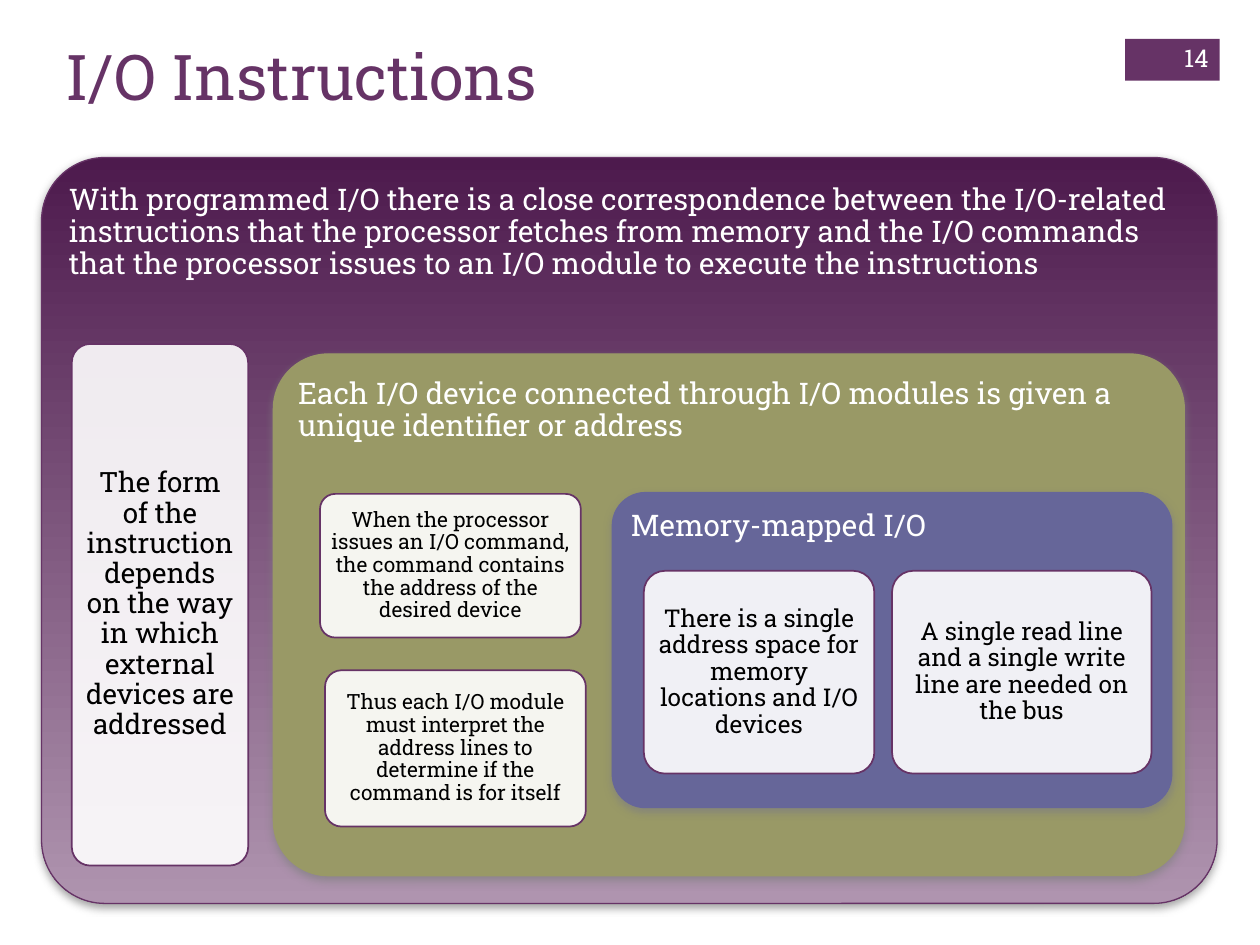
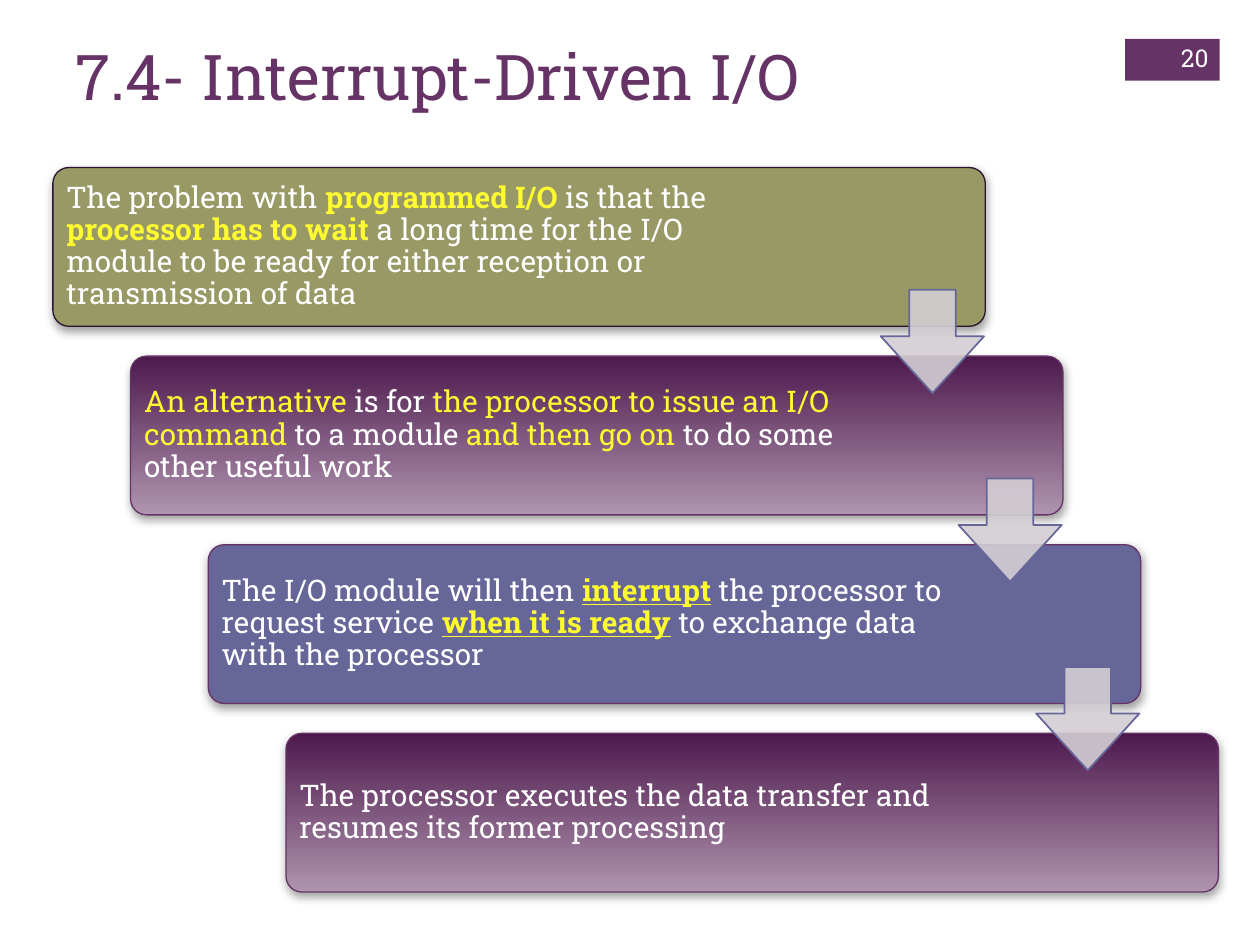
from dataclasses import dataclass

from lxml.etree import SubElement
from pptx import Presentation
from pptx.dml.color import RGBColor
from pptx.enum.shapes import MSO_SHAPE
from pptx.enum.text import MSO_ANCHOR, PP_ALIGN
from pptx.oxml.ns import qn
from pptx.util import Inches, Pt


@dataclass(frozen=True)
class Theme:
    font: str = "Roboto Slab"
    purple: str = "663366"
    olive: str = "999966"
    blue: str = "666699"
    dark: str = "2B142D"
    arrow: str = "D3CED3"
    shadow: str = "808080"
    white: str = "FFFFFF"
    black: str = "000000"
    yellow: str = "FEFB31"
    gradient: tuple = ("4D1A4D", "AF94AF")
    title_size: int = 36
    body_size: int = 17
    number_size: int = 14


theme = Theme()


def add_box(slide, kind, bounds, fill, line, adjustments=(), line_width=0.75,
            opacity=100, shadow=False):
    """Add a preset shape; a tuple as fill runs from top to bottom."""
    shape = slide.shapes.add_shape(kind, *map(Inches, bounds))
    for index, value in enumerate(adjustments):
        shape.adjustments[index] = value
    properties = shape._element.spPr
    if isinstance(fill, tuple):
        shape.fill.gradient()
        shape.fill.gradient_angle = 270
        for stop, color in zip(shape.fill.gradient_stops, fill):
            stop.color.rgb = RGBColor.from_string(color)
    else:
        shape.fill.solid()
        shape.fill.fore_color.rgb = RGBColor.from_string(fill)
        if opacity < 100:
            color_element = properties.find(qn("a:solidFill"))[0]
            SubElement(color_element, qn("a:alpha"), val=str(opacity * 1000))
    if line:
        shape.line.color.rgb = RGBColor.from_string(line)
        shape.line.width = Pt(line_width)
    else:
        shape.line.fill.background()
    shape.shadow.inherit = False
    if shadow:
        outer = SubElement(properties.find(qn("a:effectLst")), qn("a:outerShdw"),
                           blurRad=str(Pt(5)), dist=str(Pt(2)), dir="5400000",
                           algn="ctr", rotWithShape="0")
        color_element = SubElement(outer, qn("a:srgbClr"), val=theme.shadow)
        SubElement(color_element, qn("a:alpha"), val="75000")
    return shape


def write_text(shape, runs, size, align=PP_ALIGN.LEFT, anchor=MSO_ANCHOR.TOP,
               margins=None, line_spacing=None):
    """Write runs of (text, color, emphasis); emphasis holds b and u letters."""
    frame = shape.text_frame
    frame.word_wrap = True
    frame.vertical_anchor = anchor
    if margins:
        (frame.margin_left, frame.margin_top,
         frame.margin_right, frame.margin_bottom) = map(Inches, margins)
    paragraph = frame.paragraphs[0]
    paragraph.alignment = align
    if line_spacing:
        paragraph.line_spacing = line_spacing
        paragraph.space_after = Pt(round(size * 0.35))
    for text, color, emphasis in runs:
        run = paragraph.add_run()
        run.text = text
        run.font.name = theme.font
        run.font.size = Pt(size)
        run.font.color.rgb = RGBColor.from_string(color)
        run.font.bold = "b" in emphasis
        run.font.underline = "u" in emphasis


presentation = Presentation()
presentation.slide_width = Inches(10)
presentation.slide_height = Inches(7.5)
blank_layout = presentation.slide_layouts[6]

# Title and page number of both slides
slides = []
for title, title_left, number in [("I/O Instructions", 0.42, "14"),
                                  ("7.4- Interrupt-Driven I/O", 0.5, "20")]:
    slide = presentation.slides.add_slide(blank_layout)
    add_box(slide, MSO_SHAPE.RECTANGLE, (8.93, 0.31, 0.75, 0.33), theme.purple, None)
    title_box = slide.shapes.add_textbox(
        *map(Inches, (title_left, 0.25, 8.26, 1.22)))
    write_text(title_box, [(title, theme.purple, "")], theme.title_size)
    number_box = slide.shapes.add_textbox(*map(Inches, (9.08, 0.26, 0.61, 0.4)))
    write_text(number_box, [(number, theme.white, "")], theme.number_size,
               PP_ALIGN.RIGHT, MSO_ANCHOR.MIDDLE)
    slides.append(slide)
instructions_slide, interrupt_slide = slides

# Nested panels, from the outermost to the innermost
panels = [
    ((0.33, 1.25, 9.33, 5.92), 0.085, theme.gradient, theme.purple,
     "With programmed I/O there is a close correspondence between the I/O-related "
     "instructions that the processor fetches from memory and the I/O commands "
     "that the processor issues to an I/O module to execute the instructions"),
    ((2.17, 2.81, 7.23, 4.14), 0.105, theme.olive, theme.olive,
     "Each I/O device connected through I/O modules is given a unique identifier "
     "or address"),
    ((4.86, 3.91, 4.44, 2.5), 0.105, theme.blue, theme.blue, "Memory-mapped I/O"),
]
for bounds, rounding, fill, line, text in panels:
    panel = add_box(instructions_slide, MSO_SHAPE.ROUNDED_RECTANGLE, bounds, fill,
                    line, [rounding], shadow=True)
    write_text(panel, [(text, theme.white, "")], theme.body_size,
               margins=[0.07] * 4, line_spacing=0.9)

# Pale cards lying on the panels: bounds, type size, margin, text
cards = [
    ((0.57, 2.73, 1.4, 4.14), 16, 0.07,
     "The form of the instruction depends on the way in which external devices "
     "are addressed"),
    ((2.54, 3.92, 2.07, 1.14), 12, 0.05,
     "When the processor issues an I/O command, the command contains the address "
     "of the desired device"),
    ((2.58, 5.32, 2.07, 1.24), 12, 0.05,
     "Thus each I/O module must interpret the address lines to determine if the "
     "command is for itself"),
    ((5.11, 4.53, 1.83, 1.61), 14, 0.06,
     "There is a single address space for memory locations and I/O devices"),
    ((7.08, 4.53, 2.06, 1.61), 14, 0.06,
     "A single read line and a single write line are needed on the bus"),
]
for bounds, size, margin, text in cards:
    card = add_box(instructions_slide, MSO_SHAPE.ROUNDED_RECTANGLE, bounds,
                   theme.white, theme.purple, [0.105], line_width=1, opacity=90)
    write_text(card, [(text, theme.black, "")], size, PP_ALIGN.CENTER,
               MSO_ANCHOR.MIDDLE, [margin] * 4, 0.9)

# Staircase of steps
steps = [
    (theme.olive, theme.dark, [
        ("The problem with ", theme.white, ""),
        ("programmed I/O ", theme.yellow, "b"),
        ("is that the ", theme.white, ""),
        ("processor has to wait ", theme.yellow, "b"),
        ("a long time for the I/O module to be ready for either reception or "
         "transmission of data", theme.white, "")]),
    (theme.gradient, theme.purple, [
        ("An alternative", theme.yellow, ""),
        (" is for ", theme.white, ""),
        ("the processor to issue an I/O command", theme.yellow, ""),
        (" to a module ", theme.white, ""),
        ("and then go on ", theme.yellow, ""),
        ("to do some other useful work", theme.white, "")]),
    (theme.blue, theme.purple, [
        ("The I/O module will then ", theme.white, ""),
        ("interrupt", theme.yellow, "bu"),
        (" the processor to request service ", theme.white, ""),
        ("when it is ready", theme.yellow, "bu"),
        (" to exchange data with the processor", theme.white, "")]),
    (theme.gradient, theme.purple, [
        ("The processor executes the data transfer and resumes its former "
         "processing", theme.white, "")]),
]
first_left, last_left = 0.42, 2.27
first_top, last_top = 1.33, 5.82
gaps = len(steps) - 1
corners = [(first_left + (last_left - first_left) * index / gaps,
            first_top + (last_top - first_top) * index / gaps)
           for index in range(len(steps))]
for (left, top), (fill, line, runs) in zip(corners, steps):
    step = add_box(interrupt_slide, MSO_SHAPE.ROUNDED_RECTANGLE,
                   (left, top, 7.4, 1.26), fill, line, [0.1], shadow=True)
    write_text(step, runs, theme.body_size, anchor=MSO_ANCHOR.MIDDLE,
               margins=(0.07, 0.07, 1.47, 0.07), line_spacing=0.9)

# Arrows from each step to the next
for left, top in corners[:-1]:
    add_box(interrupt_slide, MSO_SHAPE.DOWN_ARROW,
            (left + 6.57, top + 0.97, 0.82, 0.82), theme.arrow, theme.blue,
            [0.45, 0.55], line_width=1, opacity=90)

presentation.save("out.pptx")
